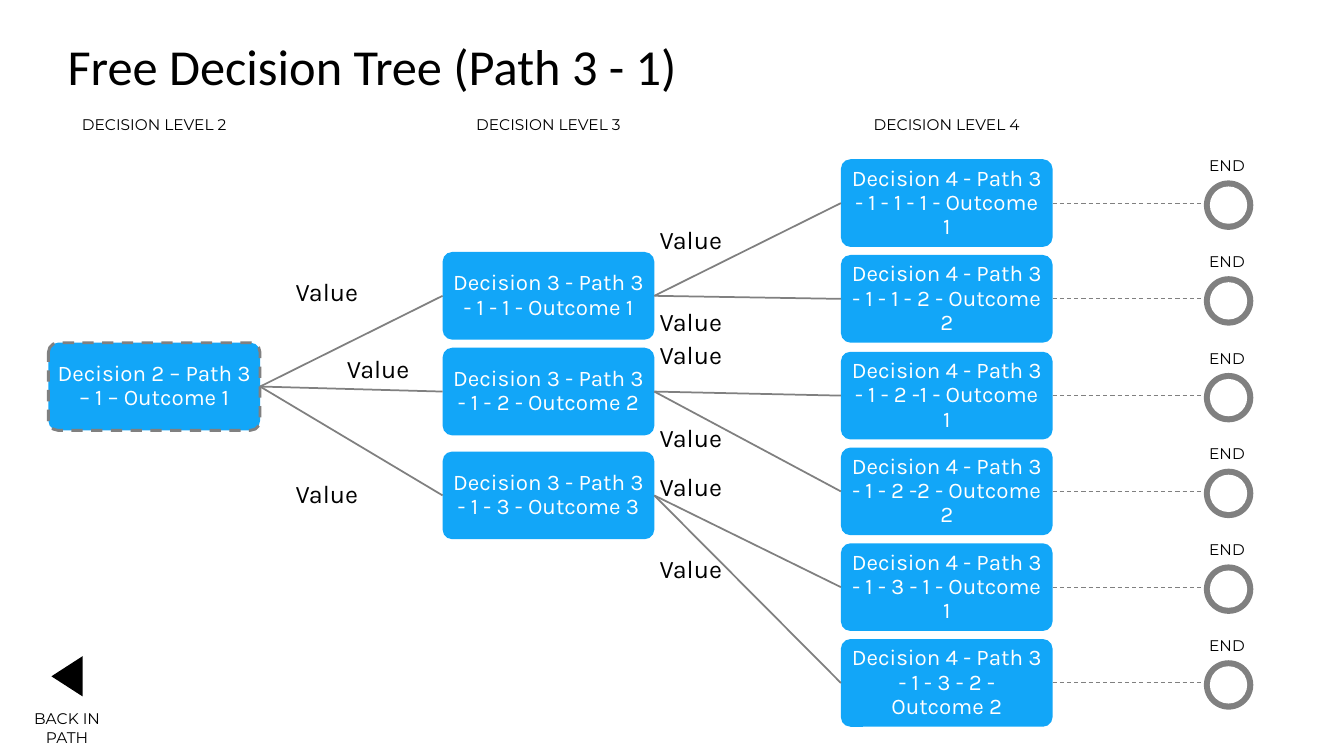
from lxml import etree
from pptx import Presentation
from pptx import util as u
from pptx.dml.color import RGBColor
from pptx.enum import dml, shapes, text
from pptx.oxml.ns import qn

PX = 9144  # 100 px to the inch

# Content
TITLE = "Free Decision Tree (Path 3 - 1)"
LEVELS = [  # heading, box left, [(box top, wording)]
    ("DECISION LEVEL 2", 48, [(340, "Decision 2 – Path 3 – 1 – Outcome 1")]),
    ("DECISION LEVEL 3", 439, [
        (250, "Decision 3 - Path 3 - 1 - 1 - Outcome 1"),
        (345, "Decision 3 - Path 3 - 1 - 2 - Outcome 2"),
        (448, "Decision 3 - Path 3 - 1 - 3 - Outcome 3"),
    ]),
    ("DECISION LEVEL 4", 834, [
        (158, "Decision 4 - Path 3 - 1 - 1 - 1 - Outcome 1"),
        (253, "Decision 4 - Path 3 - 1 - 1 - 2 - Outcome 2"),
        (349, "Decision 4 - Path 3 - 1 - 2 -1 - Outcome 1"),
        (444, "Decision 4 - Path 3 - 1 - 2 -2 - Outcome 2"),
        (539, "Decision 4 - Path 3 - 1 - 3 - 1 - Outcome 1"),
        (634, "Decision 4 - Path 3 - 1 - 3 - 2 - Outcome 2"),
    ]),
]
VALUES = [(192, 269), (243, 346), (192, 470)] + [
    (553, top) for top in (218, 299, 332, 414, 463, 544)]

BOX_W, BOX_H = 210, 87
HEAD_W, HEAD_TOP = 188, 109
RING_LEFT, RING, RING_BAND = 1194, 49, 6
BLUE, GREY, BLACK, WHITE = "12A6F8", "808080", "000000", "FFFFFF"
SMALL = {"name": "Montserrat", "size": u.Pt(11)}
VALUE = {"name": "Karla", "size": u.Pt(18)}
BOX_FONT = {"name": "Karla", "size": u.Pt(16)}
HEADLINE = {"name": "Calibri", "size": u.Pt(36)}

presentation = Presentation()
presentation.slide_width, presentation.slide_height = 1333 * PX, 750 * PX
slide = presentation.slides.add_slide(presentation.slide_layouts[6])


def color(hex_string):
    return RGBColor.from_string(hex_string)


def apply(target, values):
    for name, value in values.items():
        setattr(target, name, value)


def write(shape, wording, font, hex_string, align, frame_format):
    frame = shape.text_frame
    apply(frame, {"word_wrap": True, **frame_format})
    paragraph = frame.paragraphs[0]
    paragraph.alignment = align
    run = paragraph.add_run()
    run.text = wording
    apply(run.font, font)
    run.font.color.rgb = color(hex_string)
    return paragraph


def add_label(wording, left, top, width, height, font, align=text.PP_ALIGN.CENTER):
    shape = slide.shapes.add_textbox(left * PX, top * PX, width * PX, height * PX)
    write(shape, wording, font, BLACK, align,
          {"auto_size": text.MSO_AUTO_SIZE.SHAPE_TO_FIT_TEXT})


def add_filled(kind, left, top, width, height, fill):
    shape = slide.shapes.add_shape(kind, left * PX, top * PX, width * PX, height * PX)
    shape.shadow.inherit = False
    shape.fill.solid()
    shape.fill.fore_color.rgb = color(fill)
    shape.line.fill.background()
    return shape


def add_box(wording, left, top):
    box = add_filled(shapes.MSO_SHAPE.ROUNDED_RECTANGLE, left, top, BOX_W, BOX_H, BLUE)
    box.adjustments[0] = 0.11
    paragraph = write(box, wording, BOX_FONT, WHITE, text.PP_ALIGN.CENTER, {
        "vertical_anchor": text.MSO_ANCHOR.MIDDLE,
        "margin_left": 6 * PX, "margin_right": 6 * PX,
        "margin_top": 6 * PX, "margin_bottom": 6 * PX})
    paragraph.line_spacing = 0.9
    return box


def add_line(start, end_x, end_y, width):
    line = slide.shapes.add_connector(
        shapes.MSO_CONNECTOR.STRAIGHT, start.left + start.width,
        start.top + start.height // 2, end_x, end_y)
    line.begin_connect(start, 3)
    line.line.color.rgb = color(GREY)
    line.line.width = u.Pt(width)
    etree.SubElement(line._element.spPr, qn("a:effectLst"))
    return line


def add_branch(parent, child):
    line = add_line(parent, child.left, child.top + child.height // 2, 1.25)
    line.end_connect(child, 1)


# Title
title = slide.shapes.add_textbox(67 * PX, 30 * PX, 1200 * PX, 78 * PX)
write(title, TITLE, HEADLINE, BLACK, text.PP_ALIGN.LEFT, {
    "vertical_anchor": text.MSO_ANCHOR.MIDDLE, "margin_left": 0,
    "margin_right": 0, "margin_top": 0, "margin_bottom": 0}).line_spacing = 0.9

# Level headings and decision boxes
tree = []
for heading, left, boxes in LEVELS:
    add_label(heading, left + (BOX_W - HEAD_W) // 2, HEAD_TOP, HEAD_W, 29, SMALL)
    tree.append([add_box(wording, left, top) for top, wording in boxes])

root = tree[0][0]
apply(root.line, {"width": u.Pt(2), "dash_style": dml.MSO_LINE.DASH})
root.line.color.rgb = color(GREY)

# Branches: the root feeds level 3, each of which feeds two boxes of level 4
for child in tree[1]:
    add_branch(root, child)
for index, child in enumerate(tree[2]):
    add_branch(tree[1][index // 2], child)

# Branch values
for left, top in VALUES:
    add_label("Value", left, top, 173, 40, VALUE, text.PP_ALIGN.RIGHT)

# End rings
for (box_top, _), box in zip(LEVELS[2][2], tree[2]):
    ring_top = box_top + 21
    add_filled(shapes.MSO_SHAPE.OVAL, RING_LEFT, ring_top, RING, RING, GREY)
    hole = RING - 2 * RING_BAND
    add_filled(shapes.MSO_SHAPE.OVAL, RING_LEFT + RING_BAND, ring_top + RING_BAND,
               hole, hole, WHITE)
    add_label("END", 1123, ring_top - 29, HEAD_W, 29, SMALL)
    line = add_line(box, RING_LEFT * PX, box.top + box.height // 2, 0.75)
    line.line.dash_style = dml.MSO_LINE.DASH

# Back arrow
builder = slide.shapes.build_freeform(82, 651, scale=PX)
builder.add_line_segments([(51, 671), (82, 691)], close=True)
arrow = builder.convert_to_shape()
arrow.shadow.inherit = False
arrow.fill.solid()
arrow.fill.fore_color.rgb = color(BLACK)
arrow.line.fill.background()
add_label("BACK IN PATH", 2, 699, 129, 47, SMALL)

presentation.save("out.pptx")
